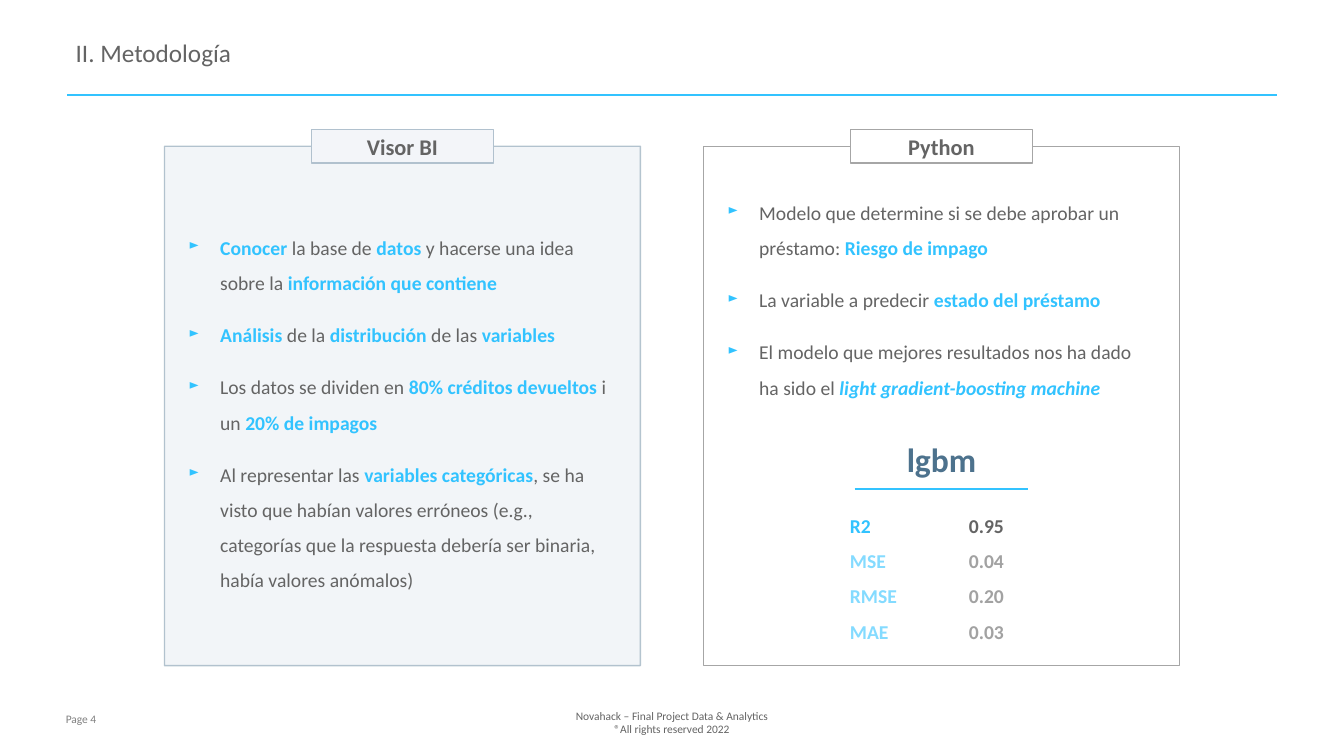
from lxml import etree
from pptx import Presentation
from pptx.dml.color import RGBColor
from pptx.enum.shapes import MSO_CONNECTOR, MSO_SHAPE
from pptx.enum.text import MSO_ANCHOR, PP_ALIGN
from pptx.oxml.ns import qn
from pptx.util import Pt

RECTANGLE = MSO_SHAPE.RECTANGLE
STRAIGHT = MSO_CONNECTOR.STRAIGHT
TOP, MIDDLE = MSO_ANCHOR.TOP, MSO_ANCHOR.MIDDLE
LEFT, CENTER = PP_ALIGN.LEFT, PP_ALIGN.CENTER

FONT = "Calibri"
CYAN = RGBColor(0x32, 0xC3, 0xFF)
TEXT_GRAY = RGBColor(0x64, 0x64, 0x64)
PAGE_GRAY = RGBColor(0x80, 0x80, 0x80)
LINE_GRAY = RGBColor(0xA6, 0xA6, 0xA6)
STEEL = RGBColor(0x4D, 0x72, 0x8D)
TAB_LINE = RGBColor(0xB1, 0xC1, 0xCE)
TAB_FILL = RGBColor(0xF3, 0xF5, 0xF9)
NAVY = RGBColor(0x2F, 0x55, 0x97)
WHITE = RGBColor(0xFF, 0xFF, 0xFF)

# Run styles: colour, bold, italic
PLAIN = (TEXT_GRAY, False, False)
KEY = (CYAN, True, False)
KEY_ITALIC = (CYAN, True, True)
GRAY_BOLD = (TEXT_GRAY, True, False)
STEEL_BOLD = (STEEL, True, False)
PAGE_STYLE = (PAGE_GRAY, False, False)

TITLE = "II. Metodología"
PAGE = "Page 4"
FOOTER = ["Novahack – Final Project Data & Analytics", "®All rights reserved 2022"]
MODEL = "lgbm"
METRICS = [("R2", "0.95"), ("MSE", "0.04"), ("RMSE", "0.20"), ("MAE", "0.03")]

# Fill and line are (colour, opacity in percent)
PANELS = [
    {
        "heading": "Visor BI", "left": 117.5, "text_top": 157, "text_height": 265,
        "fill": (NAVY, 6), "line": (STEEL, 40), "tab": (TAB_FILL, TAB_LINE),
        "bullets": [
            [("Conocer", KEY), (" la base de ", PLAIN), ("datos", KEY),
             (" y hacerse una idea sobre la ", PLAIN), ("información que contiene", KEY)],
            [("Análisis", KEY), (" de la ", PLAIN), ("distribución", KEY),
             (" de las ", PLAIN), ("variables", KEY)],
            [("Los datos se dividen en ", PLAIN), ("80% créditos devueltos", KEY),
             (" i un ", PLAIN), ("20% de impagos", KEY)],
            [("Al representar las ", PLAIN), ("variables categóricas", KEY),
             (", se ha visto que habían valores erróneos (e.g., categorías que la "
              "respuesta debería ser binaria, había valores anómalos)", PLAIN)],
        ],
    },
    {
        "heading": "Python", "left": 502.5, "text_top": 132, "text_height": 177,
        "fill": (WHITE, 40), "line": (LINE_GRAY, 100), "tab": (WHITE, LINE_GRAY),
        "bullets": [
            [("Modelo que determine si se debe aprobar un préstamo: ", PLAIN),
             ("Riesgo de impago", KEY)],
            [("La variable a predecir ", PLAIN), ("estado del préstamo", KEY)],
            [("El modelo que mejores resultados nos ha dado ha sido el ", PLAIN),
             ("light gradient-boosting machine", KEY_ITALIC)],
        ],
    },
]

PANEL_TOP, PANEL_WIDTH, PANEL_HEIGHT = 104.5, 340, 371
TAB_WIDTH, TAB_HEIGHT = 130, 24
TEXT_PADDING = 17.3


def set_opacity(fill, percent):
    if percent < 100:
        color = fill._xPr.find(qn("a:solidFill"))[0]
        etree.SubElement(color, qn("a:alpha"), val=str(percent * 1000))


def add_rectangle(slide, box, fill, line=None):
    shape = slide.shapes.add_shape(RECTANGLE, *map(Pt, box))
    shape.shadow.inherit = False
    shape.fill.solid()
    shape.fill.fore_color.rgb = fill[0]
    set_opacity(shape.fill, fill[1])
    if line:
        shape.line.width = Pt(1)
        shape.line.color.rgb = line[0]
        set_opacity(shape.line.fill, line[1])
    else:
        shape.line.fill.background()
    return shape


def add_rule(slide, left, right, top):
    rule = slide.shapes.add_connector(STRAIGHT, Pt(left), Pt(top), Pt(right), Pt(top))
    rule.line.color.rgb = CYAN
    rule.line.width = Pt(1.5)
    etree.SubElement(rule._element.spPr, qn("a:effectLst"))


def add_bullet(paragraph):
    properties = paragraph._p.get_or_add_pPr()
    properties.set("marL", str(Pt(22.5)))
    properties.set("indent", str(-Pt(22.5)))
    color = etree.SubElement(properties, qn("a:buClr"))
    etree.SubElement(color, qn("a:srgbClr"), val=str(CYAN))
    etree.SubElement(properties, qn("a:buSzPct"), val="70000")
    etree.SubElement(properties, qn("a:buChar"), char="►")


def write(shape, paragraphs, size, align=LEFT, anchor=TOP, insets=(0, 3),
          spacing=1.0, after=0, bulleted=False):
    """Fill a shape with paragraphs, each a list of (text, style) runs."""
    frame = shape.text_frame
    frame.word_wrap = True
    frame.vertical_anchor = anchor
    frame.margin_left = frame.margin_right = Pt(insets[0])
    frame.margin_top = Pt(insets[1])
    frame.margin_bottom = Pt(0)
    for index, runs in enumerate(paragraphs):
        paragraph = frame.add_paragraph() if index else frame.paragraphs[0]
        paragraph.alignment = align
        paragraph.line_spacing = spacing
        paragraph.space_after = Pt(after)
        if bulleted:
            add_bullet(paragraph)
        for text, (color, bold, italic) in runs:
            run = paragraph.add_run()
            run.text = text
            run.font.name = FONT
            run.font.size = Pt(size)
            run.font.color.rgb = color
            run.font.bold = bold
            run.font.italic = italic


def add_text(slide, box, paragraphs, size, **layout):
    write(slide.shapes.add_textbox(*map(Pt, box)), paragraphs, size, **layout)


def add_panel(slide, panel):
    left = panel["left"]
    add_rectangle(slide, (left, PANEL_TOP, PANEL_WIDTH, PANEL_HEIGHT),
                  panel["fill"], panel["line"])
    tab_fill, tab_line = panel["tab"]
    tab_box = (left + (PANEL_WIDTH - TAB_WIDTH) / 2, PANEL_TOP - TAB_HEIGHT / 2,
               TAB_WIDTH, TAB_HEIGHT)
    tab = add_rectangle(slide, tab_box, (tab_fill, 100), (tab_line, 100))
    write(tab, [[(panel["heading"], GRAY_BOLD)]], 16, align=CENTER, anchor=MIDDLE,
          spacing=0.85, after=6)
    text_box = (left + TEXT_PADDING, panel["text_top"],
                PANEL_WIDTH - 2 * TEXT_PADDING, panel["text_height"])
    add_text(slide, text_box, panel["bullets"], 14, spacing=1.5, after=12, bulleted=True)


def add_metrics(slide, center):
    add_text(slide, (center - 43.5, 298, 87, 42), [[(MODEL, STEEL_BOLD)]], 24,
             align=CENTER, anchor=MIDDLE, spacing=1.5, after=12)
    columns = zip((600, 685), (91, 61), (KEY, GRAY_BOLD), zip(*METRICS))
    for left, width, style, values in columns:
        add_text(slide, (left, 355, width, 106), [[(value, style)] for value in values],
                 14, insets=(7.2, 3.6), spacing=1.5)
    add_rule(slide, center - 62, center + 62, 349.2)
    # Veil that fades every metric below the first
    add_rectangle(slide, (center - 85, 383, 170, 73.5), (WHITE, 40))


def main():
    presentation = Presentation()
    presentation.slide_width, presentation.slide_height = Pt(960), Pt(540)
    slide = presentation.slides.add_slide(presentation.slide_layouts[6])
    add_text(slide, (47, 508.3, 57, 16), [[(PAGE, PAGE_STYLE)]], 8.2, insets=(0, 0))
    add_rule(slide, 48, 912, 67.7)
    add_text(slide, (353.5, 507.5, 253, 17), [[(line, PLAIN)] for line in FOOTER], 8.2,
             align=CENTER, anchor=MIDDLE, insets=(0, 0))
    add_text(slide, (47, 11, 867, 56), [[(TITLE, PLAIN)]], 18, anchor=MIDDLE,
             insets=(7.2, 0), spacing=0.85)
    for panel in PANELS:
        add_panel(slide, panel)
    add_metrics(slide, PANELS[-1]["left"] + PANEL_WIDTH / 2)
    presentation.save("out.pptx")


if __name__ == "__main__":
    main()
